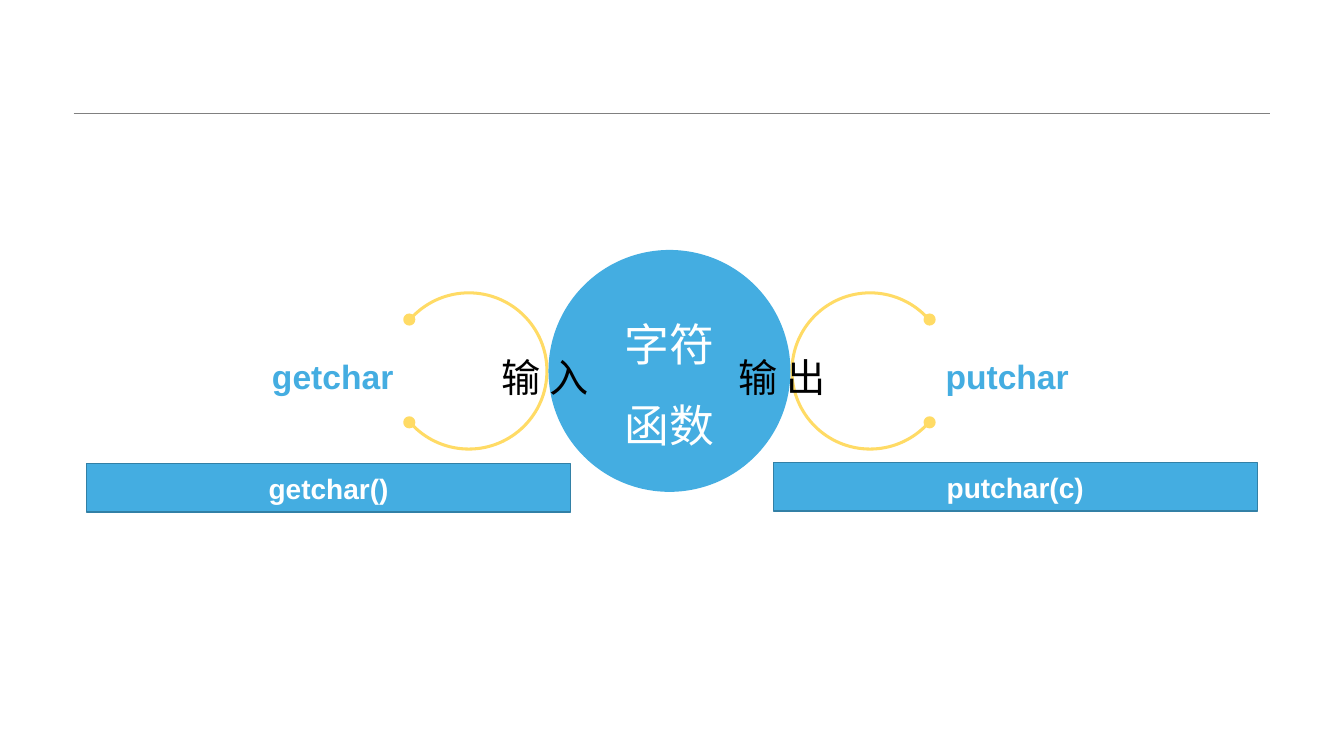
"""Builds a slide pairing the character input and output functions."""
import math

from lxml import etree
from pptx import Presentation
from pptx.dml.color import RGBColor
from pptx.enum import shapes, text
from pptx.oxml import ns
from pptx.util import Inches, Pt

BLUE = RGBColor(0x44, 0xAD, 0xE1)
DARK_BLUE = RGBColor(0x32, 0x80, 0xA6)
YELLOW = RGBColor(0xFF, 0xDB, 0x65)
GREY = RGBColor(0x80, 0x80, 0x80)
WHITE = RGBColor(0xFF, 0xFF, 0xFF)
OFF_WHITE = RGBColor(0xFE, 0xFF, 0xFF)
BLACK = RGBColor(0, 0, 0)
CENTRE_X, CENTRE_Y = 6.64, 3.68


def write(shape, words, size, color, bold=False, align=text.PP_ALIGN.LEFT,
          anchor=text.MSO_ANCHOR.MIDDLE, spacing=None, tab=None):
    """Fill a shape with formatted paragraphs, one per line of words."""
    frame = shape.text_frame
    frame.word_wrap = True
    frame.vertical_anchor = anchor
    for index, line in enumerate(words.split("\n")):
        para = frame.add_paragraph() if index else frame.paragraphs[0]
        para.alignment = align
        if spacing:
            para.line_spacing = spacing
        if tab:
            stops = etree.SubElement(para._p.get_or_add_pPr(), ns.qn("a:tabLst"))
            etree.SubElement(stops, ns.qn("a:tab"), pos=str(Inches(tab)), algn="l")
        span = para.add_run()
        span.text = line
        span.font.name = "Arial"
        span.font.size = Pt(size)
        span.font.bold = bold
        span.font.color.rgb = color


def paint(shape, fill, line=None):
    """Give a shape a flat fill and an optional one-point outline."""
    shape.shadow.inherit = False
    shape.fill.solid()
    shape.fill.fore_color.rgb = fill
    if line:
        shape.line.color.rgb = line
        shape.line.width = Pt(1)
    else:
        shape.line.fill.background()


def add_box(page, left, top, width, height):
    """Add a text box placed in inches."""
    return page.shapes.add_textbox(*map(Inches, (left, top, width, height)))


def add_filled(page, kind, left, top, width, height, fill, line=None):
    """Add a painted preset shape placed in inches."""
    shape = page.shapes.add_shape(kind, *map(Inches, (left, top, width, height)))
    paint(shape, fill, line)
    return shape


def add_rule(page, left, right, y):
    """Add the thin horizontal header line."""
    rule = page.shapes.add_connector(
        shapes.MSO_CONNECTOR.STRAIGHT, *map(Inches, (left, y, right, y)))
    rule.line.color.rgb = GREY
    rule.line.width = Pt(0.25)
    etree.SubElement(rule._element.spPr, ns.qn("a:effectLst"))


def arc(x, y, radius, start, end):
    """Return a start point and Bezier triples along an arc split at quarter turns."""
    quarters = [q for q in range(-360, 541, 90) if min(start, end) < q < max(start, end)]
    stops = [start, *sorted(quarters, reverse=start > end), end]
    points = [(x + radius * math.cos(math.radians(start)),
               y + radius * math.sin(math.radians(start)))]
    for first, last in zip(stops, stops[1:]):
        a, b = math.radians(first), math.radians(last)
        pull = 4 / 3 * math.tan((b - a) / 4)
        for angle, bend in ((a, pull), (b, -pull), (b, 0)):
            points.append((x + radius * (math.cos(angle) - bend * math.sin(angle)),
                           y + radius * (math.sin(angle) + bend * math.cos(angle))))
    return points


def curve(shape, arcs):
    """Turn each arc's triples of line segments into Bezier segments."""
    segments = iter(shape._element.findall(".//" + ns.qn("a:lnTo")))
    for index, points in enumerate(arcs):
        if index:
            next(segments)
        for _ in range(len(points) // 3):
            first, second, third = (next(segments) for _ in range(3))
            first.tag = ns.qn("a:cubicBezTo")
            for extra in (second, third):
                first.append(extra[0])
                extra.getparent().remove(extra)


def add_bracket(page, side):
    """Add an open ring with dotted ends; side is 1 for right and -1 for left."""
    ring_x, dot_x, dot_y, dot_radius = 1.99, 2.58, 0.51, 0.06
    arcs = [arc(ring_x, 0, 0.79, 45, 315),
            arc(dot_x, -dot_y, dot_radius, -117, 207),
            arc(ring_x, 0, 0.76, 315, 45),
            arc(dot_x, dot_y, dot_radius, 153, 477)]
    points = [(Inches(CENTRE_X + side * x), Inches(CENTRE_Y + y))
              for part in arcs for x, y in part]
    builder = page.shapes.build_freeform(*points[0])
    builder.add_line_segments(points[1:], close=True)
    bracket = builder.convert_to_shape()
    curve(bracket, arcs)
    paint(bracket, YELLOW)


def main():
    """Build and save the slide."""
    deck = Presentation()
    deck.slide_width, deck.slide_height = Inches(13.33), Inches(7.5)
    page = deck.slides.add_slide(deck.slide_layouts[6])
    align = text.PP_ALIGN
    preset = shapes.MSO_SHAPE

    add_rule(page, 0.73, 12.6, 1.12)
    for side in (1, -1):
        add_bracket(page, side)

    hub = add_filled(page, preset.OVAL, CENTRE_X - 1.2, CENTRE_Y - 1.2, 2.4, 2.4, BLUE)
    hub.text_frame.margin_top = hub.text_frame.margin_bottom = 0
    write(hub, "字符\n函数", 32, OFF_WHITE, align=align.CENTER, spacing=1.5)

    for name, left, side in (("putchar", 9.28, align.LEFT), ("getchar", 1.17, align.RIGHT)):
        write(add_box(page, left, 3.24, 2.83, 0.79), name, 24, BLUE,
              bold=True, align=side, spacing=1.5)

    directions = add_box(page, 4.88, 3.46, 4.73, 0.57)
    write(directions, "输 入\t输 出", 28, BLACK, anchor=text.MSO_ANCHOR.TOP, tab=2.35)
    directions.text_frame.auto_size = text.MSO_AUTO_SIZE.SHAPE_TO_FIT_TEXT

    for call, left, top in (("putchar(c)", 7.67, 4.59), ("getchar()", 0.86, 4.6)):
        bar = add_filled(page, preset.RECTANGLE, left, top, 4.8, 0.48, BLUE, DARK_BLUE)
        write(bar, call, 20, WHITE, bold=True, align=align.CENTER)

    deck.save("out.pptx")


if __name__ == "__main__":
    main()
